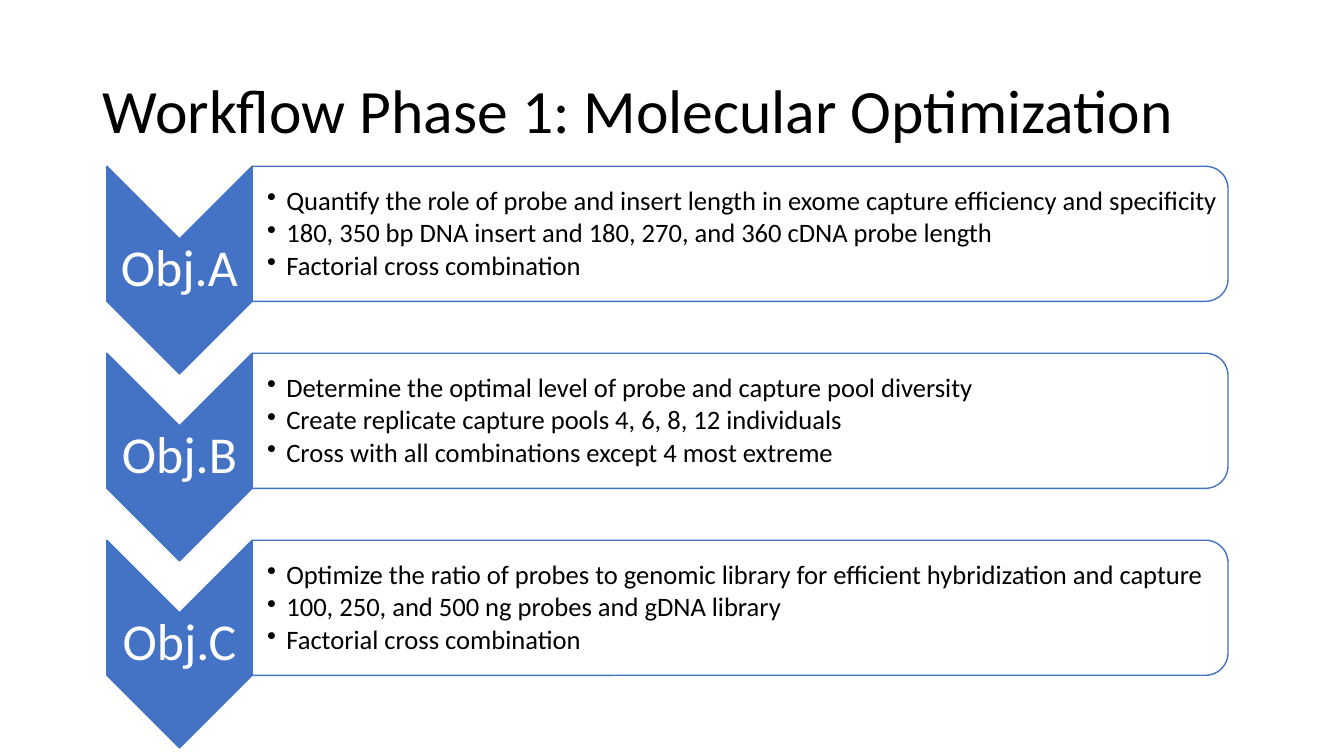
import dataclasses
import pptx
import pptx.util
import pptx.dml.color
import pptx.enum.shapes
import pptx.enum.text
import pptx.oxml
import pptx.oxml.ns
from pptx.util import Inches

SHAPE = pptx.enum.shapes.MSO_SHAPE
ALIGN = pptx.enum.text.PP_ALIGN
MIDDLE = pptx.enum.text.MSO_ANCHOR.MIDDLE


@dataclasses.dataclass(frozen=True)
class Theme:
    font: str = "Calibri"
    blue: str = "4472C4"
    white: str = "FFFFFF"
    black: str = "000000"
    title: int = 44
    label: int = 37
    body: int = 19


THEME = Theme()
TITLE = "Workflow Phase 1: Molecular Optimization"
GOALS = [
    ("Obj.A", [
        "Quantify the role of probe and insert length in exome capture efficiency and specificity",
        "180, 350 bp DNA insert and 180, 270, and 360 cDNA probe length",
        "Factorial cross combination",
    ]),
    ("Obj.B", [
        "Determine the optimal level of probe and capture pool diversity",
        "Create replicate capture pools 4, 6, 8, 12 individuals",
        "Cross with all combinations except 4 most extreme",
    ]),
    ("Obj.C", [
        "Optimize the ratio of probes to genomic library for efficient hybridization and capture",
        "100, 250, and 500 ng probes and gDNA library",
        "Factorial cross combination",
    ]),
]
PITCH = 3.71 / 2


def color(code):
    return pptx.dml.color.RGBColor.from_string(code)


def style(para, size, tint, align):
    para.alignment = align
    para.line_spacing = 0.9
    para.font.name = THEME.font
    para.font.size = pptx.util.Pt(size)
    para.font.color.rgb = color(tint)


def add_title(slide):
    title = slide.shapes.title
    title.left, title.top = Inches(0.92), Inches(0.4)
    title.width, title.height = Inches(11.5), Inches(1.45)
    title.text_frame.text = TITLE
    title.text_frame.vertical_anchor = MIDDLE
    style(title.text_frame.paragraphs[0], THEME.title, THEME.black, ALIGN.LEFT)


def add_turned(slide, kind, left, top, width, height, fill):
    shape = slide.shapes.add_shape(
        kind, Inches(left), Inches(top), Inches(width), Inches(height))
    shape.rotation = 90
    shape.shadow.inherit = False
    shape.fill.solid()
    shape.fill.fore_color.rgb = color(fill)
    shape.line.color.rgb = color(THEME.blue)
    shape.line.width = pptx.util.Pt(1)
    return shape


def set_alpha(shape, share):
    tint = shape.fill._xPr.find(".//" + pptx.oxml.ns.qn("a:srgbClr"))
    alpha = pptx.oxml.parse_xml(
        f'<a:alpha {pptx.oxml.ns.nsdecls("a")} val="{share * 1000}"/>')
    tint.append(alpha)


def add_frame(slide, left, top, width, height, inset, edge):
    box = slide.shapes.add_textbox(
        Inches(left), Inches(top), Inches(width), Inches(height))
    frame = box.text_frame
    frame.word_wrap = True
    frame.vertical_anchor = MIDDLE
    frame.margin_left = Inches(inset)
    frame.margin_right = frame.margin_top = frame.margin_bottom = Inches(edge)
    return frame


def add_bullet(para):
    props = para._p.get_or_add_pPr()
    props.set("marL", str(Inches(0.19)))
    props.set("indent", str(-Inches(0.19)))
    props.append(pptx.oxml.parse_xml(
        f'<a:buChar {pptx.oxml.ns.nsdecls("a")} char="•"/>'))


def add_label(slide, top, text):
    add_turned(slide, SHAPE.CHEVRON, 0.75, top, 2.06, 1.44, THEME.blue)
    frame = add_frame(slide, 1.06, top + 0.41, 1.44, 0.62, 0.03, 0.03)
    frame.text = text
    style(frame.paragraphs[0], THEME.label, THEME.white, ALIGN.CENTER)


def add_panel(slide, top, lines):
    panel = add_turned(slide, SHAPE.ROUND_2_SAME_RECTANGLE,
                       6.67, top - 4.48, 1.34, 9.68, THEME.white)
    set_alpha(panel, 90)
    frame = add_frame(slide, 2.5, top - 0.24, 9.62, 1.21, 0.15, 0.01)
    frame.text = "\n".join(lines)
    for para in frame.paragraphs:
        add_bullet(para)
        style(para, THEME.body, THEME.black, ALIGN.LEFT)
        para.space_after = pptx.util.Pt(0.15 * THEME.body)


def main():
    deck = pptx.Presentation()
    deck.slide_width, deck.slide_height = Inches(13.33), Inches(7.5)
    slide = deck.slides.add_slide(deck.slide_layouts[5])
    add_title(slide)
    for row, (label, lines) in enumerate(GOALS):
        top = 1.96 + row * PITCH
        add_label(slide, top, label)
        add_panel(slide, top, lines)
    deck.save("out.pptx")


if __name__ == "__main__":
    main()
